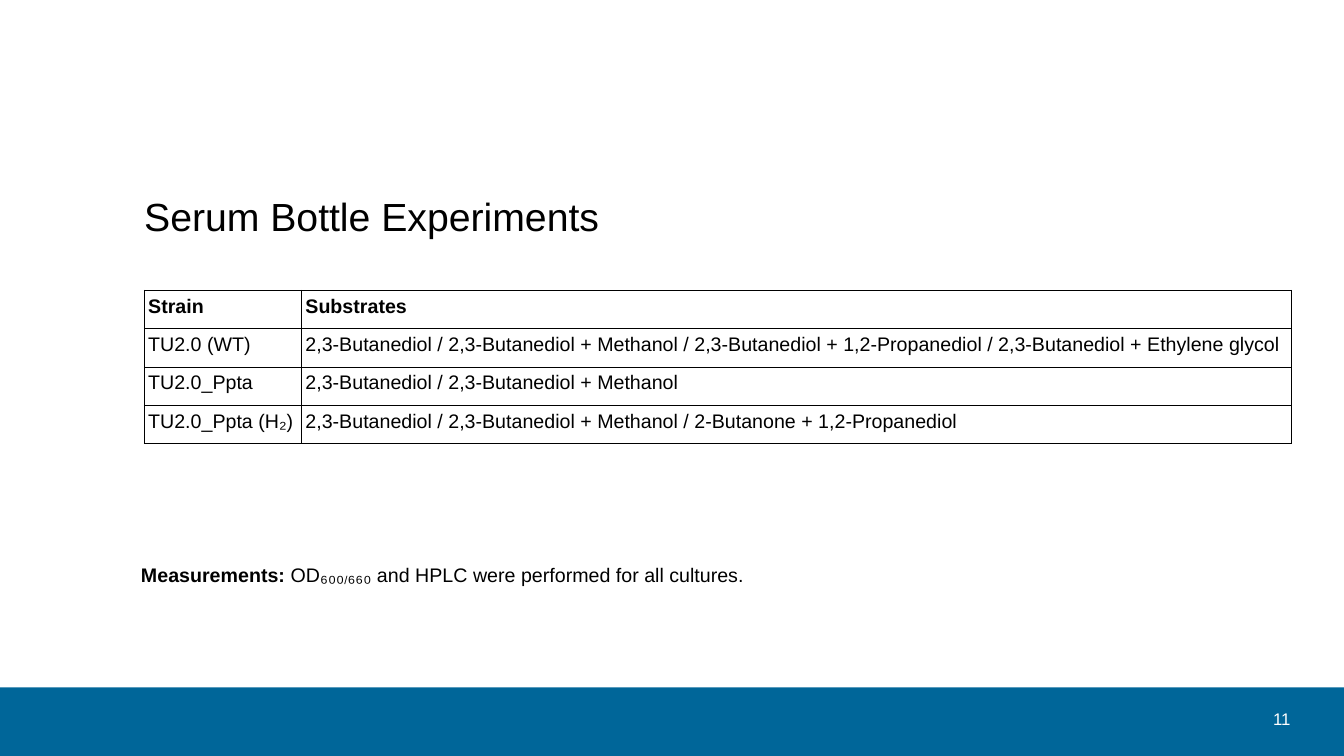
import lxml.etree
import pptx
import pptx.dml.color
import pptx.enum.shapes
import pptx.enum.text
import pptx.oxml.ns
import pptx.util

Inches = pptx.util.Inches
Pt = pptx.util.Pt
ALIGN = pptx.enum.text.PP_ALIGN
ANCHOR = pptx.enum.text.MSO_ANCHOR

BLACK = pptx.dml.color.RGBColor(0x00, 0x00, 0x00)
WHITE = pptx.dml.color.RGBColor(0xFF, 0xFF, 0xFF)
BLUE = pptx.dml.color.RGBColor(0x00, 0x66, 0x99)
FONT = "Arial"
LEFT, WIDTH = 1.43, 11.38

ROWS = [
    ("Strain", "Substrates"),
    ("TU2.0 (WT)", "2,3-Butanediol / 2,3-Butanediol + Methanol / "
     "2,3-Butanediol + 1,2-Propanediol / 2,3-Butanediol + Ethylene glycol"),
    ("TU2.0_Ppta", "2,3-Butanediol / 2,3-Butanediol + Methanol"),
    ("TU2.0_Ppta (H₂)", "2,3-Butanediol / 2,3-Butanediol + Methanol / "
     "2-Butanone + 1,2-Propanediol"),
]
COLUMN_WIDTHS = (1.56, 9.82)
ROW_HEIGHT = 0.38


def add_span(para, text, size=14, color=BLACK, bold=False, baseline=0):
    span = para.add_run()
    span.text = text
    span.font.name = FONT
    span.font.size = Pt(size)
    span.font.bold = bold
    span.font.color.rgb = color
    if baseline:
        span.font._element.set("baseline", str(baseline * 1000))


def set_frame(frame, anchor=ANCHOR.TOP, inset_x=0, inset_y=0):
    frame.word_wrap = True
    frame.auto_size = pptx.enum.text.MSO_AUTO_SIZE.NONE
    frame.vertical_anchor = anchor
    frame.margin_left = frame.margin_right = Inches(inset_x)
    frame.margin_top = frame.margin_bottom = Inches(inset_y)


def add_title(page, text):
    title = page.shapes.title
    title.left, title.top = Inches(LEFT), Inches(1.69)
    title.width, title.height = Inches(WIDTH), Inches(0.9)
    set_frame(title.text_frame, anchor=ANCHOR.MIDDLE)
    para = title.text_frame.paragraphs[0]
    para.alignment = ALIGN.LEFT
    add_span(para, text, size=28)


def add_band(page):
    band = page.shapes.add_shape(
        pptx.enum.shapes.MSO_SHAPE.RECTANGLE,
        0, Inches(6.82), Inches(13.33), Inches(0.68))
    band.shadow.inherit = False
    band.fill.solid()
    band.fill.fore_color.rgb = BLUE
    band.line.fill.background()


def add_text(page, left, top, width, height, spans, align=ALIGN.LEFT, **frame_format):
    box = page.shapes.add_textbox(
        Inches(left), Inches(top), Inches(width), Inches(height))
    set_frame(box.text_frame, **frame_format)
    para = box.text_frame.paragraphs[0]
    para.alignment = align
    for text, span_format in spans:
        add_span(para, text, **span_format)


def set_borders(cell, color=BLACK, width=0.57):
    qn = pptx.oxml.ns.qn
    properties = cell._tc.get_or_add_tcPr()
    for index, side in enumerate(("lnL", "lnR", "lnT", "lnB")):
        line = lxml.etree.Element(qn("a:" + side), w=str(Pt(width)))
        fill = lxml.etree.SubElement(line, qn("a:solidFill"))
        lxml.etree.SubElement(fill, qn("a:srgbClr"), val=str(color))
        properties.insert(index, line)


def add_strain_table(page):
    table = page.shapes.add_table(
        len(ROWS), len(COLUMN_WIDTHS), Inches(LEFT), Inches(2.88),
        Inches(WIDTH), Inches(ROW_HEIGHT * len(ROWS))).table
    table.first_row = table.horz_banding = False
    for column, width in zip(table.columns, COLUMN_WIDTHS):
        column.width = Inches(width)
    for row_index, texts in enumerate(ROWS):
        table.rows[row_index].height = Inches(ROW_HEIGHT)
        for column_index, text in enumerate(texts):
            cell = table.cell(row_index, column_index)
            cell.margin_left = cell.margin_right = Inches(0.04)
            cell.margin_top = cell.margin_bottom = Inches(0.05)
            cell.fill.background()
            set_borders(cell)
            add_span(cell.text_frame.paragraphs[0], text, bold=row_index == 0)


def main():
    deck = pptx.Presentation()
    deck.slide_width, deck.slide_height = Inches(13.33), Inches(7.5)
    page = deck.slides.add_slide(deck.slide_layouts[5])

    # Footer band and title
    add_band(page)
    add_title(page, "Serum Bottle Experiments")

    # Strains and substrates
    add_strain_table(page)

    # Measurement note
    add_text(page, 1.3, 5.54, 11.55, 0.33, [
        ("Measurements:", {"bold": True}),
        (" OD₆₀₀", {}),
        ("/", {"baseline": -8}),
        ("₆₆₀ and HPLC were performed for all cultures.", {}),
    ], inset_x=0.1, inset_y=0.05)

    # Page number
    add_text(page, 11.9, 6.98, 0.9, 0.31, [("11", {"size": 12, "color": WHITE})],
             align=ALIGN.RIGHT, anchor=ANCHOR.MIDDLE)

    deck.save("out.pptx")


if __name__ == "__main__":
    main()
